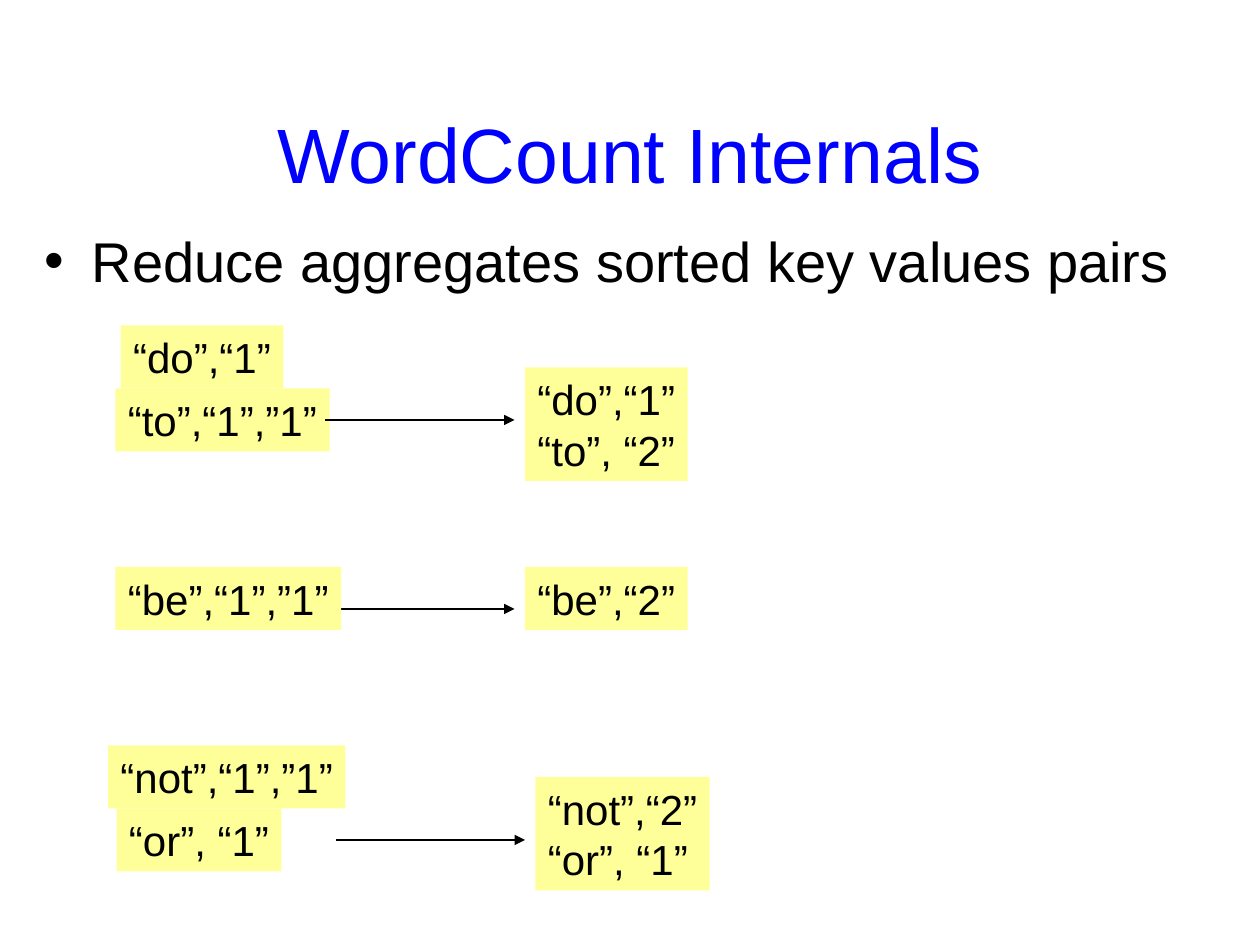
from dataclasses import dataclass

from lxml.etree import SubElement as Sub
from pptx import Presentation
from pptx.dml.color import RGBColor
from pptx.enum.shapes import MSO_CONNECTOR as Link, MSO_SHAPE as Kind
from pptx.enum.text import MSO_ANCHOR as Anchor, MSO_AUTO_SIZE as Fit, PP_ALIGN as Align
from pptx.oxml.ns import qn
from pptx.util import Inches, Pt

CELL = Inches(1) / 12
FONT = "Arial"
BLACK, BLUE, CREAM = "000000", "0000FF", "FFFF99"


@dataclass(frozen=True)
class Box:
    """Key and value lines, placed in grid columns and rows."""
    col: float
    row: float
    wide: float
    lines: tuple[str, ...]

    @property
    def high(self) -> float:
        return 6 + 4.8 * (len(self.lines) - 1)


@dataclass(frozen=True)
class Arrow:
    """Level arrow, placed in grid columns and rows."""
    col: float
    row: float
    wide: float = 18


MAPPED = (
    Box(11, 37, 20.4, ("“to”,“1”,”1”",)),
    Box(11.5, 31, 15.5, ("“do”,“1”",)),
    Box(10.3, 71, 22.6, ("“not”,“1”,”1”",)),
    Box(11.1, 77, 15.7, ("“or”, “1”",)),
)
ARROWS = (Arrow(31, 40), Arrow(31, 58), Arrow(32, 80))
REDUCED = (
    Box(50, 35, 15.5, ("“do”,“1”", "“to”, “2”")),
    Box(50, 54, 15.5, ("“be”,“2”",)),
    Box(51, 74, 16.6, ("“not”,“2”", "“or”, “1”")),
    Box(11, 54, 21.5, ("“be”,“1”,”1”",)),
)


def span(*cells: float) -> list[int]:
    """Turn grid cells into lengths."""
    return [round(n * CELL) for n in cells]


def tint(code: str) -> RGBColor:
    """Turn a hex string into a colour."""
    return RGBColor.from_string(code)


def write(para, text: str, size: int, code: str) -> None:
    """Add one styled run to a paragraph."""
    run = para.add_run()
    run.text = text
    run.font.name, run.font.size = FONT, Pt(size)
    run.font.color.rgb = tint(code)


def place(shape, *cells: float) -> None:
    """Move a placeholder to its grid cells."""
    shape.left, shape.top, shape.width, shape.height = span(*cells)
    shape.text_frame.auto_size = Fit.NONE


def draw_box(slide, box: Box) -> None:
    """Draw a filled box with its lines of text."""
    shape = slide.shapes.add_shape(
        Kind.RECTANGLE, *span(box.col, box.row, box.wide, box.high))
    shape.shadow.inherit = False
    shape.fill.solid()
    shape.fill.fore_color.rgb = tint(CREAM)
    shape.line.fill.background()
    frame = shape.text_frame
    frame.word_wrap, frame.auto_size = False, Fit.SHAPE_TO_FIT_TEXT
    frame.vertical_anchor = Anchor.TOP
    for i, text in enumerate(box.lines):
        para = frame.add_paragraph() if i else frame.paragraphs[0]
        para.alignment = Align.LEFT
        write(para, text, 24, BLACK)


def draw_arrow(slide, arrow: Arrow) -> None:
    """Draw a thin line with a triangle at its end."""
    ends = span(arrow.col, arrow.row, arrow.col + arrow.wide, arrow.row)
    line = slide.shapes.add_connector(Link.STRAIGHT, *ends)
    line.line.color.rgb = tint(BLACK)
    line.line.width = Pt(0.75)
    Sub(line.line._get_or_add_ln(), qn("a:tailEnd"), type="triangle")
    Sub(line._element.spPr, qn("a:effectLst"))


def draw_heads(slide) -> None:
    """Fill the title and the bullet list."""
    title, body = slide.placeholders
    place(title, 9, 7, 102, 15)
    title.text_frame.vertical_anchor = Anchor.MIDDLE
    head = title.text_frame.paragraphs[0]
    head.alignment = Align.CENTER
    write(head, "WordCount Internals", 44, BLUE)

    place(body, 3, 21, 115, 8)
    item = body.text_frame.paragraphs[0]
    item.space_before = Pt(8)
    props = item._p.get_or_add_pPr()
    props.set("marL", str(Inches(0.38)))
    props.set("indent", str(-Inches(0.38)))
    Sub(props, qn("a:buChar"), char="•")
    write(item, "Reduce aggregates sorted key values pairs", 32, BLACK)


def main() -> None:
    """Build and save the slide."""
    deck = Presentation()
    deck.slide_width, deck.slide_height = span(120, 90)
    slide = deck.slides.add_slide(deck.slide_layouts[1])
    draw_heads(slide)
    for box in MAPPED:
        draw_box(slide, box)
    for arrow in ARROWS:
        draw_arrow(slide, arrow)
    for box in REDUCED:
        draw_box(slide, box)
    deck.save("out.pptx")


if __name__ == "__main__":
    main()
